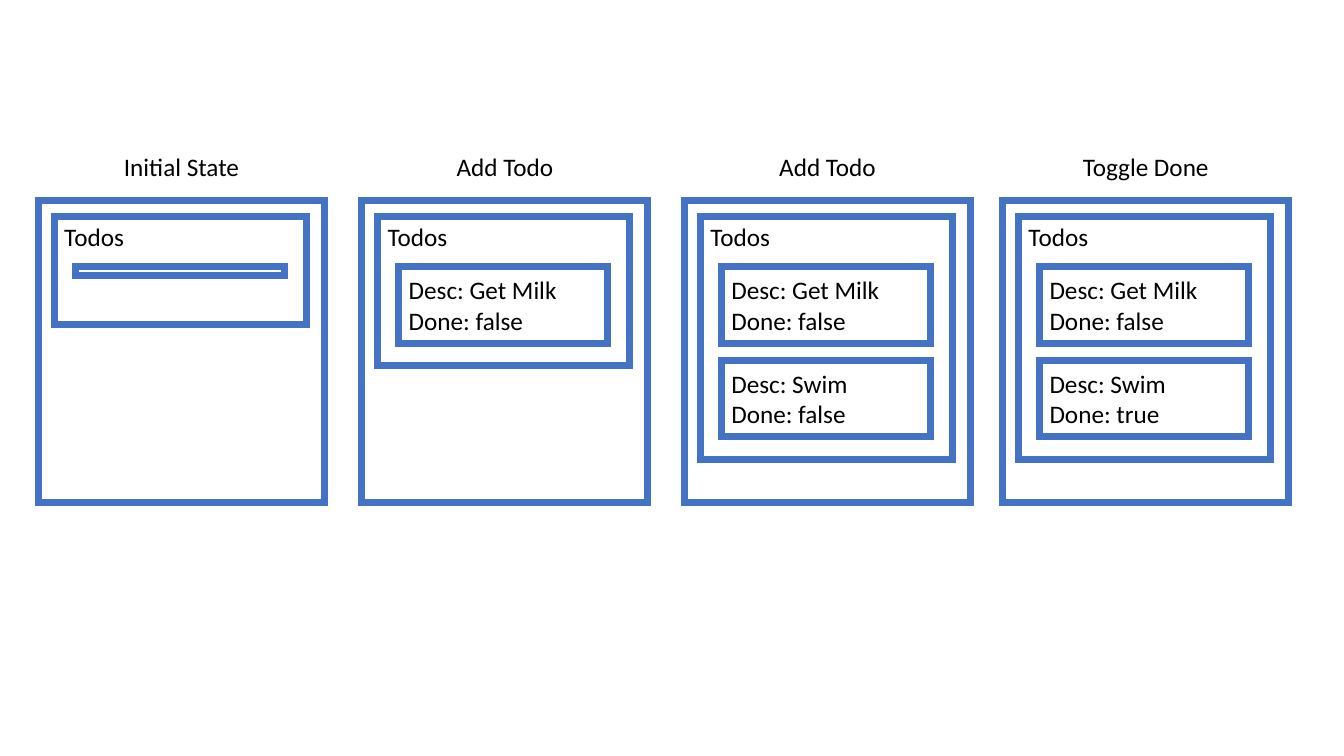
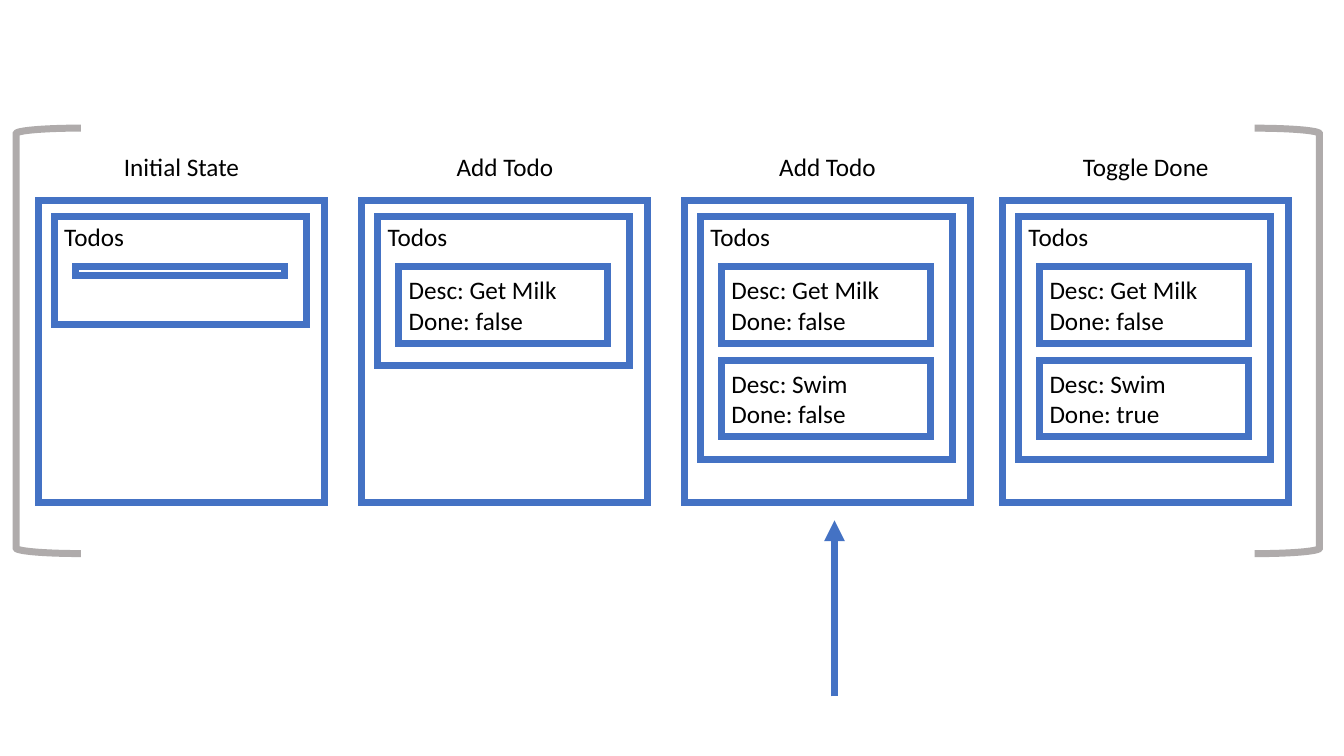
from lxml import etree
from pptx import Presentation
from pptx import util as u
from pptx.dml.color import RGBColor
from pptx.enum import shapes, text
from pptx.oxml import ns

BLUE = RGBColor(0x44, 0x72, 0xC4)
GRAY = RGBColor(0xAF, 0xAB, 0xAB)
WHITE = RGBColor(0xFF, 0xFF, 0xFF)
BLACK = RGBColor(0, 0, 0)
FONT = "Calibri"
LINE_WIDTH = u.Pt(5)

# Panel geometry, in centimetres
PANEL_TOP, PANEL_WIDTH, PANEL_HEIGHT = 5.05, 7.21, 7.62
TITLE_RISE, TITLE_HEIGHT = 1.35, 1.02
LIST_INSET, LIST_WIDTH, EMPTY_LIST_HEIGHT = 0.4, 6.35, 2.74
ITEM_LEFT, ITEM_TOP, ITEM_WIDTH = 0.53, 1.27, 5.26
ITEM_HEIGHT, ITEM_PITCH, EMPTY_ITEM_HEIGHT = 1.93, 2.36, 0.23
LIST_PADDING = 0.56

MILK = "Desc: Get Milk\nDone: false"
# Left edge, title and todo items of each state
STATES = [
    (0.97, "Initial State", []),
    (9.12, "Add Todo", [MILK]),
    (17.25, "Add Todo", [MILK, "Desc: Swim\nDone: false"]),
    (25.27, "Toggle Done", [MILK, "Desc: Swim\nDone: true"]),
]


def write(shape, content, align=text.PP_ALIGN.LEFT, anchor=text.MSO_ANCHOR.TOP,
          size=18, color=BLACK):
    """Put text into a shape, one paragraph for each line."""
    frame = shape.text_frame
    frame.word_wrap = True
    frame.vertical_anchor = anchor
    frame.text = content
    for paragraph in frame.paragraphs:
        paragraph.alignment = align
        paragraph.font.name = FONT
        paragraph.font.size = u.Pt(size)
        paragraph.font.color.rgb = color


def set_line(shape, color):
    """Give a shape or connector a thick line with mitred corners."""
    shape.line.color.rgb = color
    shape.line.width = LINE_WIDTH
    line = shape.line._get_or_add_ln()
    etree.SubElement(line, ns.qn("a:miter"), lim="800000")
    return line


def add_box(parent, left, top, width, height, content="", **style):
    box = parent.add_shape(shapes.MSO_SHAPE.RECTANGLE, u.Cm(left), u.Cm(top),
                           u.Cm(width), u.Cm(height))
    box.shadow.inherit = False
    box.fill.solid()
    box.fill.fore_color.rgb = WHITE
    set_line(box, BLUE)
    if content:
        write(box, content, **style)


def add_todo_list(parent, left, top, items):
    height = EMPTY_LIST_HEIGHT
    if items:
        height = (ITEM_TOP + (len(items) - 1) * ITEM_PITCH
                  + ITEM_HEIGHT + LIST_PADDING)
    add_box(parent, left, top, LIST_WIDTH, height, "Todos")
    item_height = ITEM_HEIGHT if items else EMPTY_ITEM_HEIGHT
    for index, item in enumerate(items or [""]):
        add_box(parent, left + ITEM_LEFT, top + ITEM_TOP + index * ITEM_PITCH,
                ITEM_WIDTH, item_height, item, anchor=text.MSO_ANCHOR.MIDDLE)


def add_state_panel(slide, left, top, title, items):
    parent = slide.shapes.add_group_shape().shapes
    add_box(parent, left, top, PANEL_WIDTH, PANEL_HEIGHT)
    add_todo_list(parent, left + LIST_INSET, top + LIST_INSET, items)
    label = parent.add_textbox(u.Cm(left), u.Cm(top - TITLE_RISE),
                               u.Cm(PANEL_WIDTH), u.Cm(TITLE_HEIGHT))
    write(label, title, align=text.PP_ALIGN.CENTER)


def add_bracket(slide, left, top, width, height, rotation=0):
    bracket = slide.shapes.add_shape(
        shapes.MSO_SHAPE.LEFT_BRACKET, u.Cm(left), u.Cm(top),
        u.Cm(width), u.Cm(height))
    bracket.shadow.inherit = False
    bracket.fill.background()
    bracket.rotation = rotation
    set_line(bracket, GRAY)


def add_up_arrow(slide, x, bottom, top):
    arrow = slide.shapes.add_connector(shapes.MSO_CONNECTOR.STRAIGHT, u.Cm(x),
                                       u.Cm(bottom), u.Cm(x), u.Cm(top))
    line = set_line(arrow, BLUE)
    etree.SubElement(line, ns.qn("a:tailEnd"), type="triangle")
    etree.SubElement(arrow._element.spPr, ns.qn("a:effectLst"))


def add_states_slide(presentation):
    slide = presentation.slides.add_slide(presentation.slide_layouts[6])
    for left, title, items in STATES:
        add_state_panel(slide, left, PANEL_TOP, title, items)
    return slide


def add_history_slide(presentation):
    """The states as a bracketed list, with an arrow to the current one."""
    slide = add_states_slide(presentation)
    add_up_arrow(slide, 21.03, 17.55, 13.11)
    for left, rotation in ((0.41, 0), (31.62, 180)):
        add_bracket(slide, left, 3.23, 1.63, 10.72, rotation)


def main():
    presentation = Presentation()
    presentation.slide_width = u.Cm(33.87)
    presentation.slide_height = u.Cm(19.05)
    add_states_slide(presentation)
    add_history_slide(presentation)
    presentation.save("out.pptx")


if __name__ == "__main__":
    main()
